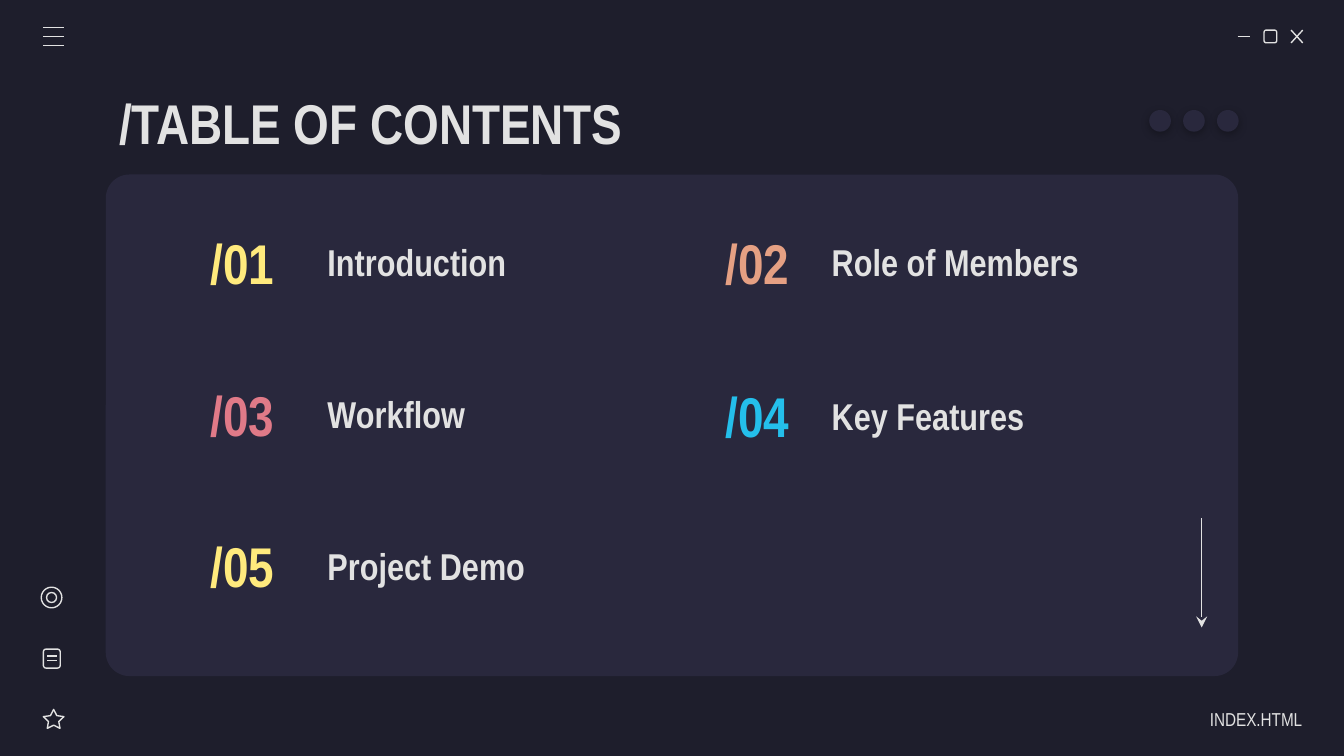
import pptx
import pptx.dml.color
import pptx.enum.shapes
import pptx.enum.text
import pptx.oxml
import pptx.oxml.ns
import pptx.oxml.xmlchemy
import pptx.util

Cm = pptx.util.Cm
Pt = pptx.util.Pt
Shape = pptx.enum.shapes.MSO_SHAPE
Align = pptx.enum.text.PP_ALIGN

FONT = "Arial Narrow"
COLORS = {
    "background": "1E1E2C",
    "panel": "29283D",
    "light": "E2E2E2",
    "yellow": "FFEA7D",
    "orange": "E5A083",
    "red": "E07A88",
    "blue": "24BFEB",
}
# Per column: left of number, left of title, row pitch, entries
COLUMNS = [
    (3.43, 5.94, 2.87, [("/01", "Introduction", "yellow"),
                        ("/03", "Workflow", "red"),
                        ("/05", "Project Demo", "yellow")]),
    (13.16, 15.47, 2.9, [("/02", "Role of Members", "orange"),
                         ("/04", "Key Features", "blue")]),
]
FIRST_ROW_TOP = 4.24


def rgb(name):
    return pptx.dml.color.RGBColor.from_string(COLORS[name])


def add_text(slide, text, left, top, width, height, size=20, color="light",
             bold=True, align=Align.LEFT, right_inset=0.25):
    box = slide.shapes.add_textbox(Cm(left), Cm(top), Cm(width), Cm(height))
    frame = box.text_frame
    frame.word_wrap = True
    frame.vertical_anchor = pptx.enum.text.MSO_ANCHOR.MIDDLE
    frame.margin_left = frame.margin_top = frame.margin_bottom = Cm(0.25)
    frame.margin_right = Cm(right_inset)
    paragraph = frame.paragraphs[0]
    paragraph.alignment = align
    run = paragraph.add_run()
    run.text = text
    run.font.name = FONT
    run.font.size = Pt(size)
    run.font.bold = bold
    run.font.color.rgb = rgb(color)


def add_shape(slide, kind, left, top, width, height, fill=None, adjustment=None):
    """Add a filled shape without a line, or an outlined one if fill is None."""
    shape = slide.shapes.add_shape(kind, Cm(left), Cm(top), Cm(width), Cm(height))
    shape.shadow.inherit = False
    if adjustment is not None:
        shape.adjustments[0] = adjustment
    if fill:
        shape.fill.solid()
        shape.fill.fore_color.rgb = rgb(fill)
        shape.line.fill.background()
    else:
        shape.fill.background()
        shape.line.color.rgb = rgb("light")
        shape.line.width = Pt(0.75)
    return shape


def add_line(slide, x1, y1, x2, y2, arrow=False):
    connector = slide.shapes.add_connector(
        pptx.enum.shapes.MSO_CONNECTOR.STRAIGHT, Cm(x1), Cm(y1), Cm(x2), Cm(y2))
    connector.line.color.rgb = rgb("light")
    connector.line.width = Pt(0.75)
    properties = connector._element.spPr
    if arrow:
        tail = pptx.oxml.xmlchemy.OxmlElement("a:tailEnd")
        tail.set("type", "stealth")
        properties.find(pptx.oxml.ns.qn("a:ln")).append(tail)
    properties.append(pptx.oxml.xmlchemy.OxmlElement("a:effectLst"))


def add_soft_shadow(shape):
    namespace = pptx.oxml.ns.nsdecls("a")
    effects = shape._element.spPr.find(pptx.oxml.ns.qn("a:effectLst"))
    effects.append(pptx.oxml.parse_xml(
        f'<a:outerShdw {namespace} blurRad="{Pt(4.5)}" dist="{Pt(1.5)}" '
        'dir="5400000" algn="bl" rotWithShape="0">'
        '<a:srgbClr val="000000"><a:alpha val="30000"/></a:srgbClr></a:outerShdw>'))


def add_window_controls(slide):
    add_line(slide, 23.39, 0.69, 23.63, 0.69)
    add_shape(slide, Shape.ROUNDED_RECTANGLE, 23.89, 0.57, 0.24, 0.24)
    add_line(slide, 24.4, 0.57, 24.62, 0.81)
    add_line(slide, 24.62, 0.57, 24.4, 0.81)


def add_menu_icon(slide):
    for row in range(3):
        y = 0.52 + 0.17 * row
        add_line(slide, 0.82, y, 1.21, y)


def add_side_icons(slide):
    add_shape(slide, Shape.OVAL, 0.78, 11.1, 0.39, 0.39)
    add_shape(slide, Shape.OVAL, 0.88, 11.2, 0.19, 0.19)
    add_shape(slide, Shape.ROUNDED_RECTANGLE, 0.82, 12.27, 0.32, 0.36)
    for y in (12.4, 12.49):
        add_line(slide, 0.89, y, 1.07, y)
    add_shape(slide, Shape.STAR_5_POINT, 0.82, 13.41, 0.39, 0.36, adjustment=0.25)


def add_dots(slide):
    for column in range(3):
        dot = add_shape(slide, Shape.OVAL, 21.72 + 0.64 * column, 2.08,
                        0.41, 0.41, fill="panel")
        add_soft_shadow(dot)


def add_contents(slide):
    for number_left, title_left, pitch, entries in COLUMNS:
        for row, (number, title, color) in enumerate(entries):
            top = FIRST_ROW_TOP + pitch * row
            add_text(slide, number, number_left, top, 2.31, 1.42,
                     size=30, color=color, align=Align.CENTER)
            add_text(slide, title, title_left, top, 6.5, 1.42)


def main():
    presentation = pptx.Presentation()
    presentation.slide_width = Cm(25.4)
    presentation.slide_height = Cm(14.29)
    slide = presentation.slides.add_slide(presentation.slide_layouts[6])
    slide.background.fill.solid()
    slide.background.fill.fore_color.rgb = rgb("background")

    add_shape(slide, Shape.ROUNDED_RECTANGLE, 2, 3.3, 21.4, 9.48,
              fill="panel", adjustment=0.047)
    add_window_controls(slide)
    add_menu_icon(slide)
    add_side_icons(slide)
    add_dots(slide)
    add_text(slide, "/TABLE OF CONTENTS", 2, 1.5, 21.4, 1.6, size=30)
    add_contents(slide)
    add_line(slide, 22.71, 9.8, 22.71, 11.86, arrow=True)
    add_text(slide, "INDEX.HTML", 21.64, 13.21, 2.97, 0.76, size=10,
             bold=False, align=Align.RIGHT, right_inset=0)
    presentation.save("out.pptx")


if __name__ == "__main__":
    main()
